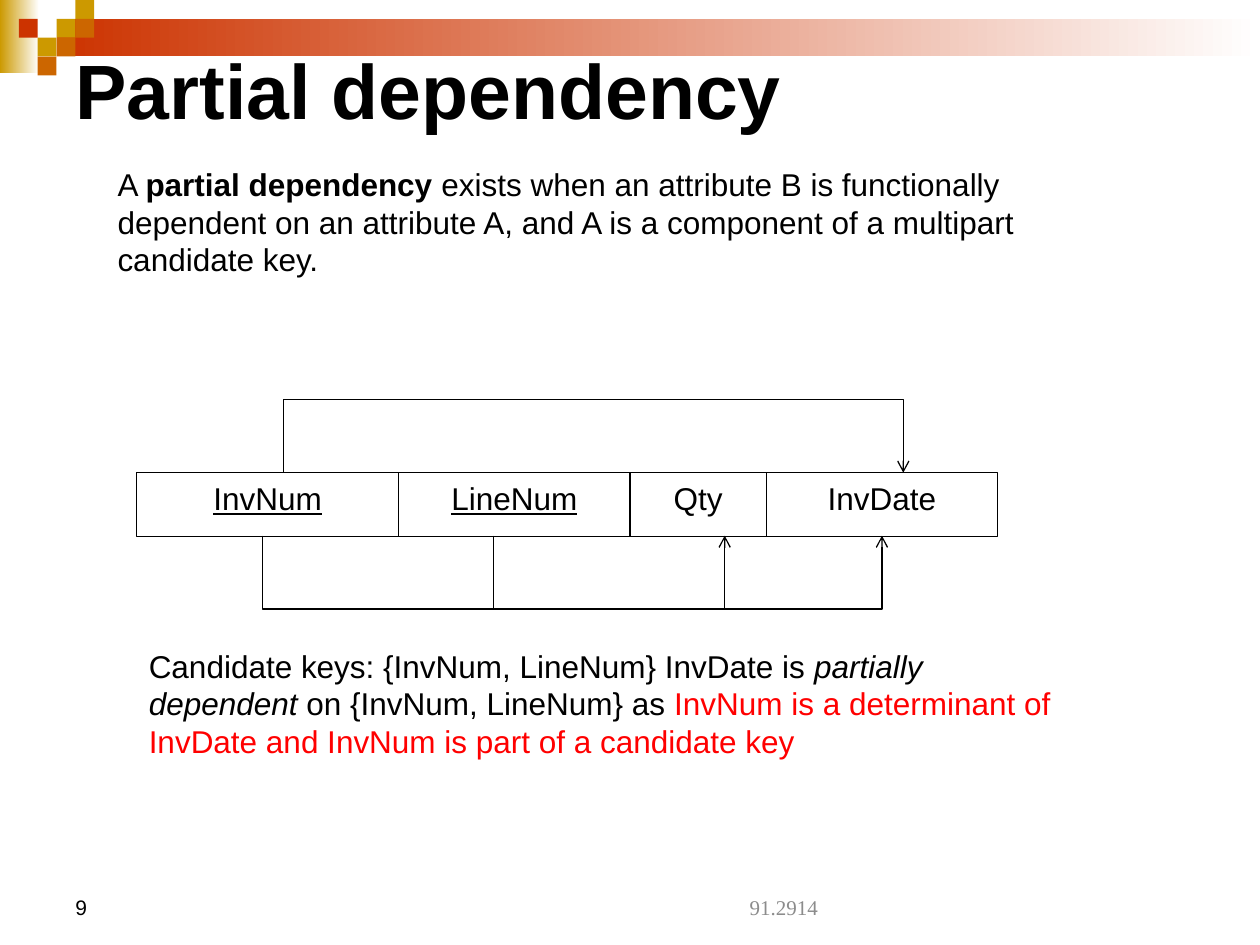
import pptx
import pptx.dml.color
import pptx.enum.shapes
import pptx.enum.text
import pptx.oxml.ns
import pptx.util
from lxml import etree

Cm = pptx.util.Cm
RGBColor = pptx.dml.color.RGBColor
ALIGN = pptx.enum.text.PP_ALIGN
ANCHOR = pptx.enum.text.MSO_ANCHOR

BLACK = RGBColor(0x00, 0x00, 0x00)
WHITE = RGBColor(0xFF, 0xFF, 0xFF)
GRAY = RGBColor(0x8C, 0x8C, 0x8C)
RED = RGBColor(0xFF, 0x00, 0x00)
GOLD = RGBColor(0xCC, 0x99, 0x00)
ORANGE = RGBColor(0xCC, 0x66, 0x00)
RUST = RGBColor(0xCC, 0x33, 0x00)


class DependencySlide:
    """Draws on one slide in one style; all lengths are centimetres."""

    font = "Arial"
    size = 18
    line_width = 0.75

    def __init__(self, page):
        self.page = page

    def fill_text(self, shape, spans, align=ALIGN.LEFT, anchor=ANCHOR.TOP, **base):
        """Fill a shape with spans, each a pair of words and style changes."""
        frame = shape.text_frame
        frame.word_wrap = True
        frame.vertical_anchor = anchor
        para = frame.paragraphs[0]
        para.alignment = align
        for words, changes in spans:
            style = {**base, **changes}
            span = para.add_run()
            span.text = words
            span.font.name = style.get("font", self.font)
            span.font.size = pptx.util.Pt(style.get("size", self.size))
            span.font.color.rgb = style.get("color", BLACK)
            span.font.bold = style.get("bold", False)
            span.font.italic = style.get("italic", False)
            span.font.underline = style.get("underline", False)

    def text(self, left, top, width, height, spans, **style):
        box = self.page.shapes.add_textbox(Cm(left), Cm(top), Cm(width), Cm(height))
        self.fill_text(box, spans, **style)

    def rectangle(self, left, top, width, height):
        shape = self.page.shapes.add_shape(
            pptx.enum.shapes.MSO_SHAPE.RECTANGLE,
            Cm(left), Cm(top), Cm(width), Cm(height))
        shape.shadow.inherit = False
        return shape

    def block(self, left, top, width, height, color, fade=False):
        """A decorative block, solid or fading to white on the right."""
        shape = self.rectangle(left, top, width, height)
        shape.line.fill.background()
        if fade:
            shape.fill.gradient()
            shape.fill.gradient_angle = 0
            for stop, tone in zip(shape.fill.gradient_stops, (color, WHITE)):
                stop.color.rgb = tone
        else:
            shape.fill.solid()
            shape.fill.fore_color.rgb = color

    def outline(self, shape):
        shape.fill.background()
        shape.line.color.rgb = BLACK
        shape.line.width = pptx.util.Pt(self.line_width)

    def attribute(self, left, top, width, height, name, is_key):
        cell = self.rectangle(left, top, width, height)
        self.outline(cell)
        self.fill_text(cell, [(name, {})], align=ALIGN.CENTER, underline=is_key)

    def bracket(self, start, end, edge, turn):
        """A three-part arrow that leaves and returns to a row edge."""
        builder = self.page.shapes.build_freeform(Cm(start), Cm(edge))
        builder.add_line_segments(
            [(Cm(start), Cm(turn)), (Cm(end), Cm(turn)), (Cm(end), Cm(edge))],
            close=False)
        arrow = builder.convert_to_shape()
        arrow.shadow.inherit = False
        self.outline(arrow)
        line = arrow.element.spPr.find(pptx.oxml.ns.qn("a:ln"))
        etree.SubElement(line, pptx.oxml.ns.qn("a:tailEnd"), type="arrow")


def main():
    deck = pptx.Presentation()
    deck.slide_width, deck.slide_height = Cm(25.4), Cm(19.05)
    slide = DependencySlide(deck.slides.add_slide(deck.slide_layouts[6]))

    # Header bands and mosaic, on a grid of small squares
    tile = 0.38
    slide.block(0, 0, 0.79, 1.47, GOLD, fade=True)
    slide.block(3 * tile, tile, 25.4 - 3 * tile, 2 * tile, RUST, fade=True)
    mosaic = [(3, 1, GOLD), (4, 0, GOLD), (4, 1, ORANGE), (2, 2, GOLD),
              (1, 1, RUST), (3, 2, ORANGE), (2, 3, ORANGE)]
    for column, row, color in mosaic:
        slide.block(column * tile, row * tile, tile, tile, color)

    # Title and footer
    slide.text(1.27, 1.27, 22.86, 1.02, [("Partial dependency", {})],
               anchor=ANCHOR.MIDDLE, size=44, bold=True)
    slide.text(8.69, 17.65, 8.05, 1.02, [("91.2914", {})], align=ALIGN.RIGHT,
               anchor=ANCHOR.BOTTOM, font="Times New Roman", size=12, color=GRAY)
    slide.text(1.27, 17.35, 5.92, 1.32, [("9", {})],
               anchor=ANCHOR.BOTTOM, size=12)

    # Definition
    slide.text(2.12, 3.2, 20.96, 3.3, [
        ("A ", {}),
        ("partial dependency", {"bold": True}),
        (" exists when an attribute B is functionally dependent on an "
         "attribute A, and A is a component of a multipart candidate key.", {}),
    ])

    # Relation: attributes side by side, keys underlined
    top, height = 9.53, 1.29
    left = 2.75
    for name, width, is_key in [("InvNum", 5.29, True), ("LineNum", 4.66, True),
                                ("Qty", 2.75, False), ("InvDate", 4.66, False)]:
        slide.attribute(left, top, width, height, name, is_key)
        left += width

    # Dependencies: two below the row, the partial one above
    bottom, reach = 10.8, 1.48
    slide.bracket(9.95, 14.61, bottom, bottom + reach)
    slide.bracket(5.29, 17.78, bottom, bottom + reach)
    slide.bracket(5.72, 18.21, top, top - reach)

    # Explanation
    slide.text(2.75, 12.91, 19.26, 4.32, [
        ("Candidate keys: {InvNum, LineNum} InvDate is ", {}),
        ("partially dependent", {"italic": True}),
        (" on {InvNum, LineNum} as ", {}),
        ("InvNum is a determinant of InvDate and InvNum is part of a "
         "candidate key", {"color": RED}),
    ])

    deck.save("out.pptx")


if __name__ == "__main__":
    main()
